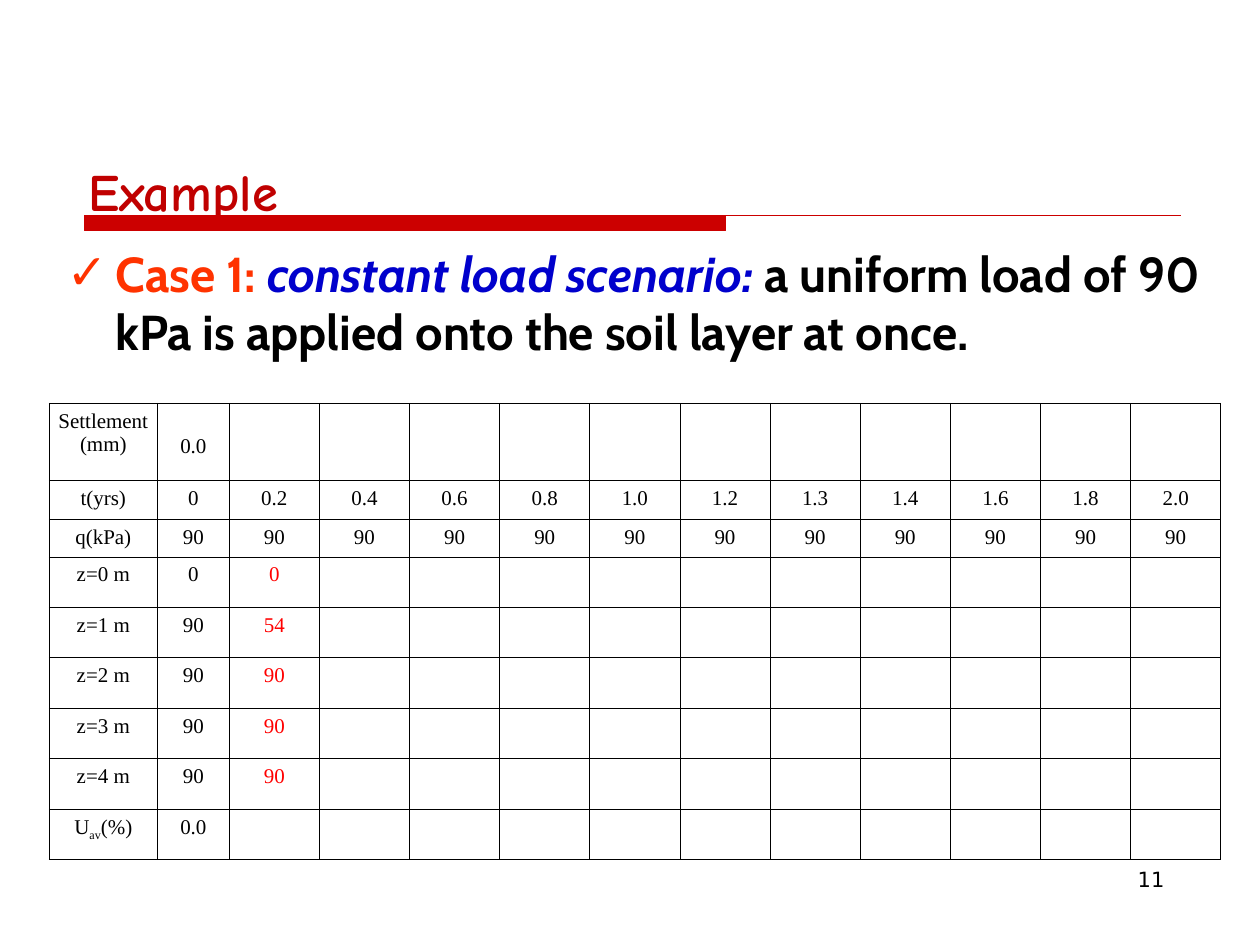
from dataclasses import dataclass

from lxml import etree
from pptx import Presentation
from pptx.dml.color import RGBColor
from pptx.enum.shapes import MSO_CONNECTOR
from pptx.enum.text import MSO_ANCHOR, MSO_AUTO_SIZE, PP_ALIGN
from pptx.oxml.ns import qn
from pptx.util import Inches, Pt

LEFT, CENTER, RIGHT = PP_ALIGN.LEFT, PP_ALIGN.CENTER, PP_ALIGN.RIGHT
TOP = MSO_ANCHOR.TOP
GROW = MSO_AUTO_SIZE.SHAPE_TO_FIT_TEXT
STRAIGHT = MSO_CONNECTOR.STRAIGHT
TITLE_ONLY = 5

BLACK, WHITE, RED = "000000", "FFFFFF", "FF0000"
RULE_RED, TITLE_RED, ORANGE, BLUE = "CC0000", "C00000", "FF3300", "0000CC"


def color(value):
    return RGBColor.from_string(value)


@dataclass
class Run:
    text: str
    color: str = BLACK
    bold: bool = False
    italic: bool = False
    baseline: int = 0


@dataclass
class SlideBuilder:
    slide: object
    title_font: str = "Comic Neue"
    body_font: str = "Cabin"
    table_font: str = "Times New Roman"
    symbol_font: str = "DejaVu Sans"
    border_width: float = 0.45

    def add_runs(self, paragraph, runs, font, size):
        for item in runs:
            run = paragraph.add_run()
            run.text = item.text
            run.font.name = font
            run.font.size = Pt(size)
            run.font.bold = item.bold
            run.font.italic = item.italic
            run.font.color.rgb = color(item.color)
            if item.baseline:
                run._r.get_or_add_rPr().set("baseline", str(item.baseline * 1000))

    def title(self, text, left, top, width, height):
        shape = self.slide.shapes.title
        shape.left, shape.top = Inches(left), Inches(top)
        shape.width, shape.height = Inches(width), Inches(height)
        frame = shape.text_frame
        frame.margin_left = frame.margin_right = Inches(0.07)
        frame.margin_top = frame.margin_bottom = Inches(0.03)
        frame.vertical_anchor = TOP
        frame.auto_size = GROW
        paragraph = frame.paragraphs[0]
        paragraph.alignment = LEFT
        paragraph.line_spacing = 1.23
        paragraph.space_before = Pt(9.4)
        self.add_runs(paragraph, [Run(text, TITLE_RED, bold=True)], self.title_font, 30)

    def text(self, runs, left, top, width, height, font, size, align=LEFT):
        box = self.slide.shapes.add_textbox(
            Inches(left), Inches(top), Inches(width), Inches(height))
        box.text_frame.word_wrap = True
        paragraph = box.text_frame.paragraphs[0]
        paragraph.alignment = align
        self.add_runs(paragraph, runs, font, size)
        return paragraph

    def bullet(self, paragraph, mark, mark_color, indent, hanging):
        properties = paragraph._p.get_or_add_pPr()
        properties.set("marL", str(Inches(indent)))
        properties.set("indent", str(-Inches(hanging)))
        bullet_color = etree.SubElement(properties, qn("a:buClr"))
        etree.SubElement(bullet_color, qn("a:srgbClr"), val=mark_color)
        etree.SubElement(properties, qn("a:buFont"), typeface=self.symbol_font)
        etree.SubElement(properties, qn("a:buChar"), char=mark)

    def title_rule(self, left, top, bar_right, right, height, rule_color):
        x, y, bar_x, end_x, bottom = map(
            Inches, (left, top, bar_right, right, top + height))
        builder = self.slide.shapes.build_freeform(x, y)
        builder.add_line_segments([(bar_x, y), (bar_x, bottom), (x, bottom)], close=True)
        builder.move_to(x, y)
        builder.add_line_segments([(end_x, y)], close=False)
        shape = builder.convert_to_shape()
        shape.shadow.inherit = False
        shape.fill.solid()
        shape.fill.fore_color.rgb = color(rule_color)
        shape.line.color.rgb = color(rule_color)
        shape.line.width = Pt(0.75)

    def line(self, left, right, top, line_color, width):
        connector = self.slide.shapes.add_connector(
            STRAIGHT, Inches(left), Inches(top), Inches(right), Inches(top))
        connector.line.color.rgb = color(line_color)
        connector.line.width = Pt(width)
        etree.SubElement(connector._element.spPr, qn("a:effectLst"))

    def borders(self, cell):
        properties = cell._tc.get_or_add_tcPr()
        for side in ("a:lnL", "a:lnR", "a:lnT", "a:lnB"):
            border = etree.SubElement(
                properties, qn(side), w=str(Pt(self.border_width)))
            fill = etree.SubElement(border, qn("a:solidFill"))
            etree.SubElement(fill, qn("a:srgbClr"), val=BLACK)

    def cell(self, cell, paragraphs):
        self.borders(cell)
        cell.fill.solid()
        cell.fill.fore_color.rgb = color(WHITE)
        if not paragraphs:
            return
        cell.margin_left = cell.margin_right = Inches(0.05)
        frame = cell.text_frame
        for index, runs in enumerate(paragraphs):
            paragraph = frame.add_paragraph() if index else frame.paragraphs[0]
            paragraph.alignment = CENTER
            self.add_runs(paragraph, runs, self.table_font, 12)

    def table(self, rows, left, top, widths, heights):
        table = self.slide.shapes.add_table(
            len(heights), len(widths), Inches(left), Inches(top),
            Inches(sum(widths)), Inches(sum(heights))).table
        table.first_row = table.horz_banding = False
        for column, width in zip(table.columns, widths):
            column.width = Inches(width)
        for row, height in zip(table.rows, heights):
            row.height = Inches(height)
        for row_index, row in enumerate(rows):
            for column_index in range(len(widths)):
                paragraphs = row[column_index] if column_index < len(row) else []
                self.cell(table.cell(row_index, column_index), paragraphs)
        return table


def entry(text, text_color=BLACK):
    return [[Run(text, text_color)]]


def main():
    presentation = Presentation()
    presentation.slide_width, presentation.slide_height = Inches(10), Inches(7.5)
    slide = presentation.slides.add_slide(presentation.slide_layouts[TITLE_ONLY])
    builder = SlideBuilder(slide)

    # Rules under the title and above the footer
    builder.title_rule(0.67, 1.71, 5.76, 9.37, 0.12, RULE_RED)
    builder.line(0.67, 9.33, 6.75, RULE_RED, 0.25)

    # Title, case description and page number
    builder.title("Example", 0.63, 1.12, 2.34, 0.67)
    case = builder.text(
        [Run("Case 1: ", ORANGE, bold=True),
         Run("constant load scenario: ", BLUE, bold=True, italic=True),
         Run("a uniform load of 90 kPa is applied onto the soil layer at once.",
             bold=True)],
        0.33, 1.88, 9.53, 1.5, builder.body_font, 28)
    builder.bullet(case, "✓", ORANGE, 0.49, 0.39)
    builder.text([Run("11")], 7.17, 6.83, 2.17, 0.52, builder.symbol_font, 12, RIGHT)

    # Consolidation table: times across, depths down
    times = ["0", "0.2", "0.4", "0.6", "0.8", "1.0",
             "1.2", "1.3", "1.4", "1.6", "1.8", "2.0"]
    pressures = [("0", "0"), ("90", "54"), ("90", "90"), ("90", "90"), ("90", "90")]
    rows = [
        [[[Run("Settlement")], [Run("(mm)")]], entry("0.0")],
        [entry(text) for text in ["t(yrs)"] + times],
        [entry(text) for text in ["q(kPa)"] + ["90"] * len(times)],
    ]
    for depth, (initial, later) in enumerate(pressures):
        rows.append([entry(f"z={depth} m"), entry(initial), entry(later, RED)])
    rows.append([[[Run("U"), Run("av", baseline=-25), Run("(%)")]], entry("0.0")])

    widths = [0.86, 0.57] + [7.87 / 11] * 11
    heights = [0.61] + [0.31, 0.3] * 4
    table = builder.table(rows, 0.39, 3.2, widths, heights)
    table.cell(0, 1).margin_top = Inches(0.25)

    presentation.save("out.pptx")


if __name__ == "__main__":
    main()
